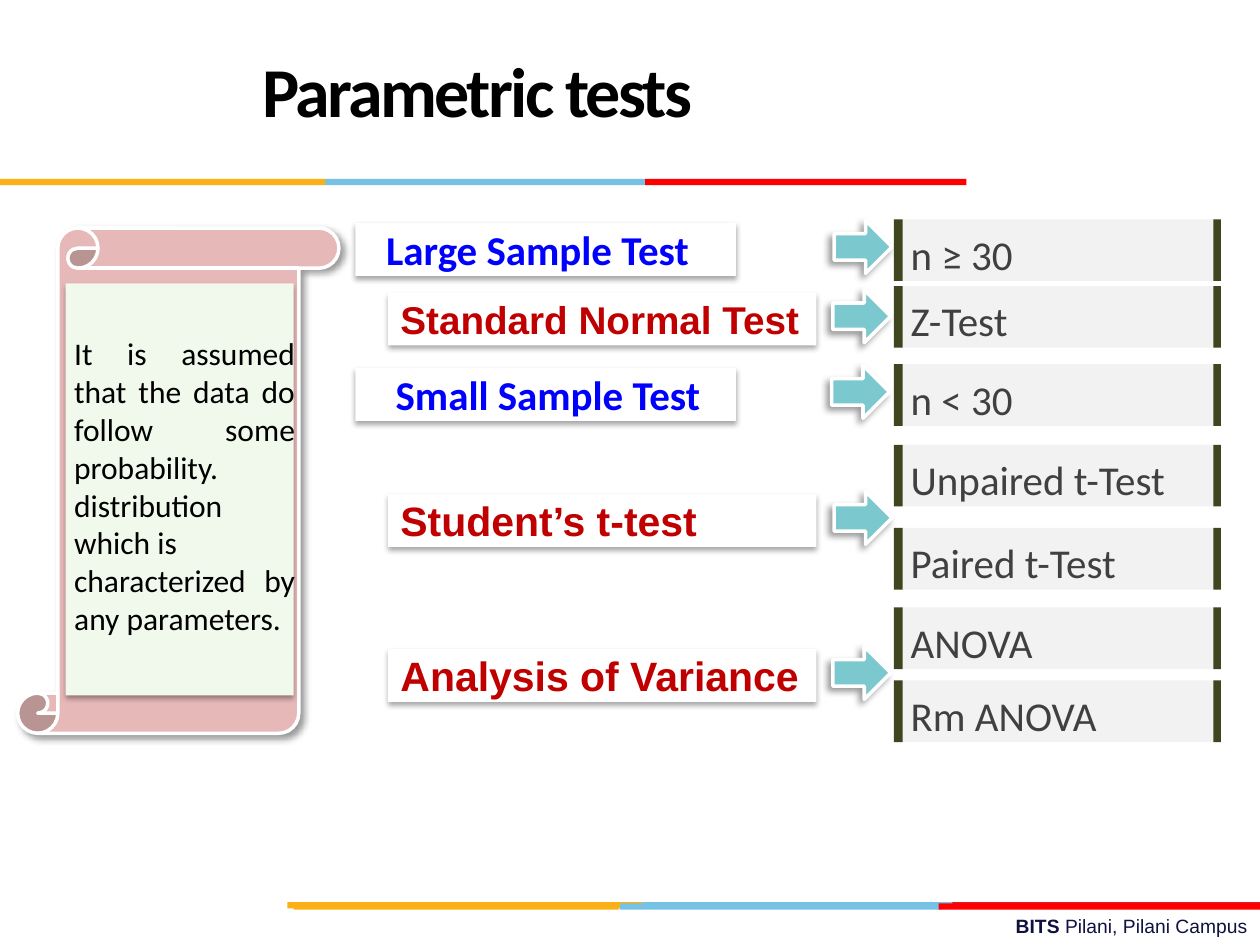
from lxml import etree
from pptx import Presentation, util as u
from pptx.dml.color import RGBColor
from pptx.enum import shapes, text
from pptx.oxml.ns import qn

# The slide is a grid of 100 columns by 75 rows
COLUMNS, ROWS = 100, 75
CELL = u.Inches(0.1)

COLORS = {
    "black": "000000", "white": "FFFFFF", "navy": "101141",
    "yellow": "FCB017", "sky": "76C2E5", "crimson": "E31C24", "red": "FF0000",
    "blue": "0000FF", "dark red": "C00000", "teal": "7BC8CE",
    "panel": "F2F2F2", "olive": "3F451E", "gray": "404040",
    "scroll": "E6B9B8", "mint": "F1F8EC",
}
SOFT_SHADOW = dict(opacity=35, blur=3.1, distance=1.8, angle=90)
DEEP_SHADOW = dict(opacity=40, blur=4, distance=3)

PANEL_LEFT, PANEL_WIDTH, PANEL_HEIGHT = 71.3, 25.3, 4.9
ARROW_WIDTH, ARROW_HEIGHT = 4.6, 4.2

# Bands: row, then (first column, width, color) from back to front
BANDS = [
    (71.6, [(50.6, 25.5, "sky"), (75.6, 24.4, "crimson"), (22.8, 28.2, "yellow")]),
    (71.7, [(49.2, 25.5, "sky"), (23.3, 25.8, "yellow"), (74.5, 25.5, "red")]),
    (14.2, [(25.8, 25.5, "sky"), (0, 25.8, "yellow"), (51.2, 25.5, "red")]),
]
# Sample tests: text, row, left inset, arrow column
SAMPLES = [("Large Sample Test", 17.7, 2.45, 66.2),
           ("Small Sample Test", 29.2, 3.2, 66)]
# Named tests: text, row, size, arrow column
TESTS = [("Standard Normal Test", 23.2, 22.1, 66.1),
         ("Student’s t-test", 39.2, 23.4, 66.2),
         ("Analysis of Variance", 51.5, 23.4, 66.1)]
# Result panels: text, row
PANELS = [("n ≥ 30", 17.4), ("Z-Test", 22.7), ("n < 30", 28.9),
          ("Unpaired t-Test", 35.3), ("Paired t-Test", 41.9),
          ("ANOVA", 48.2), ("Rm ANOVA", 54)]


def color(name):
    return RGBColor.from_string(COLORS[name])


def cells(*counts):
    return [round(count * CELL) for count in counts]


def add_shadow(shape, opacity, blur, distance, angle):
    properties = shape._element.spPr
    for effects in properties.findall(qn("a:effectLst")):
        properties.remove(effects)
    effects = etree.SubElement(properties, qn("a:effectLst"))
    shadow = etree.SubElement(
        effects, qn("a:outerShdw"), blurRad=str(u.Pt(blur)),
        dist=str(u.Pt(distance)), dir=str(angle * 60000), rotWithShape="0")
    tone = etree.SubElement(shadow, qn("a:srgbClr"), val=COLORS["black"])
    etree.SubElement(tone, qn("a:alpha"), val=str(opacity * 1000))


def add_figure(slide, kind, box, fill, outline=None, shadow=None):
    shape = slide.shapes.add_shape(kind, *cells(*box))
    shape.shadow.inherit = False
    shape.fill.solid()
    shape.fill.fore_color.rgb = color(fill)
    if outline:
        shape.line.color.rgb = color(outline)
        shape.line.width = u.Pt(2)
    else:
        shape.line.fill.background()
    if shadow:
        add_shadow(shape, **shadow)
    return shape


def add_rectangle(slide, box, fill, **options):
    return add_figure(slide, shapes.MSO_SHAPE.RECTANGLE, box, fill, **options)


def write(shape, paragraphs, size=23.4, font="Calibri", ink="black", bold=False,
          align=text.PP_ALIGN.LEFT, anchor=text.MSO_ANCHOR.TOP, inset=1,
          line_spacing=None, tracking=None):
    """Each paragraph is a string or a list of (string, bold) runs."""
    frame = shape.text_frame
    frame.word_wrap = True
    frame.vertical_anchor = anchor
    frame.margin_left = cells(inset)[0]
    for index, content in enumerate(paragraphs):
        paragraph = frame.add_paragraph() if index else frame.paragraphs[0]
        paragraph.alignment = align
        if line_spacing:
            paragraph.line_spacing = u.Pt(line_spacing)
        runs = [(content, bold)] if isinstance(content, str) else content
        for words, strong in runs:
            run = paragraph.add_run()
            run.text = words
            run.font.size, run.font.name = u.Pt(size), font
            run.font.bold = strong
            run.font.color.rgb = color(ink)
            if tracking:
                run.font._element.set("spc", str(round(tracking * 100)))


def add_text(slide, box, paragraphs, **style):
    write(slide.shapes.add_textbox(*cells(*box)), paragraphs, **style)


def add_label(slide, box, words, **style):
    shape = add_figure(slide, shapes.MSO_SHAPE.ROUND_2_DIAG_RECTANGLE, box,
                       "white", shadow=SOFT_SHADOW)
    shape.adjustments[0] = shape.adjustments[1] = 0
    write(shape, [words], bold=True, anchor=text.MSO_ANCHOR.MIDDLE, **style)


def add_arrow(slide, column, row):
    add_figure(slide, shapes.MSO_SHAPE.RIGHT_ARROW,
               (column, row, ARROW_WIDTH, ARROW_HEIGHT), "teal",
               outline="white", shadow=dict(DEEP_SHADOW, angle=135))


def add_panel(slide, words, row):
    add_rectangle(slide, (PANEL_LEFT, row, PANEL_WIDTH, PANEL_HEIGHT), "panel")
    # Side bars are centred on the panel's edges
    for center, width in ((PANEL_LEFT, 0.7), (PANEL_LEFT + PANEL_WIDTH, 0.6)):
        add_rectangle(slide, (center - width / 2, row, width, PANEL_HEIGHT), "olive")
    add_text(slide, (PANEL_LEFT, row + 0.3, PANEL_WIDTH, PANEL_HEIGHT), [words],
             ink="gray")


def add_scroll(slide):
    add_figure(slide, shapes.MSO_SHAPE.VERTICAL_SCROLL, (1.4, 18.1, 25.5, 40.1),
               "scroll", outline="white", shadow=dict(DEEP_SHADOW, angle=45))
    add_rectangle(slide, (5.2, 22.5, 18.1, 32.7), "mint", shadow=SOFT_SHADOW)
    add_text(slide, (4.9, 26.05, 19.5, 28.25),
             ["It is assumed that the data do follow some probability. "
              "distribution which is",
              "characterized by any parameters."],
             size=18, align=text.PP_ALIGN.JUSTIFY)


def main():
    presentation = Presentation()
    presentation.slide_width, presentation.slide_height = cells(COLUMNS, ROWS)
    slide = presentation.slides.add_slide(presentation.slide_layouts[6])

    # Footer, colour bands and title
    add_text(slide, (35.8, 72.1, 64.2, 2.9),
             [[("BITS ", True), ("Pilani, Pilani Campus", False)]],
             size=11, font="Arial", ink="navy", align=text.PP_ALIGN.RIGHT)
    for row, segments in BANDS:
        for column, width, fill in segments:
            add_rectangle(slide, (column, row, width, 0.5), fill)
    add_text(slide, (3.3, 1.7, 69.2, 12.5), ["Parametric tests"], size=40,
             bold=True, align=text.PP_ALIGN.CENTER, line_spacing=36,
             anchor=text.MSO_ANCHOR.MIDDLE, tracking=-1.5)

    # Test labels, each with its arrow
    for words, row, inset, arrow in SAMPLES:
        add_label(slide, (28.2, row, 30.2, 4.2), words, ink="blue", inset=inset)
        add_arrow(slide, arrow, row - 0.2)
    for words, row, size, arrow in TESTS:
        add_label(slide, (30.8, row, 34, 4.2), words, ink="dark red",
                  font="Arial", size=size)
        add_arrow(slide, arrow, row - 0.2)

    # Assumption and results
    add_scroll(slide)
    for words, row in PANELS:
        add_panel(slide, words, row)

    presentation.save("out.pptx")


if __name__ == "__main__":
    main()
